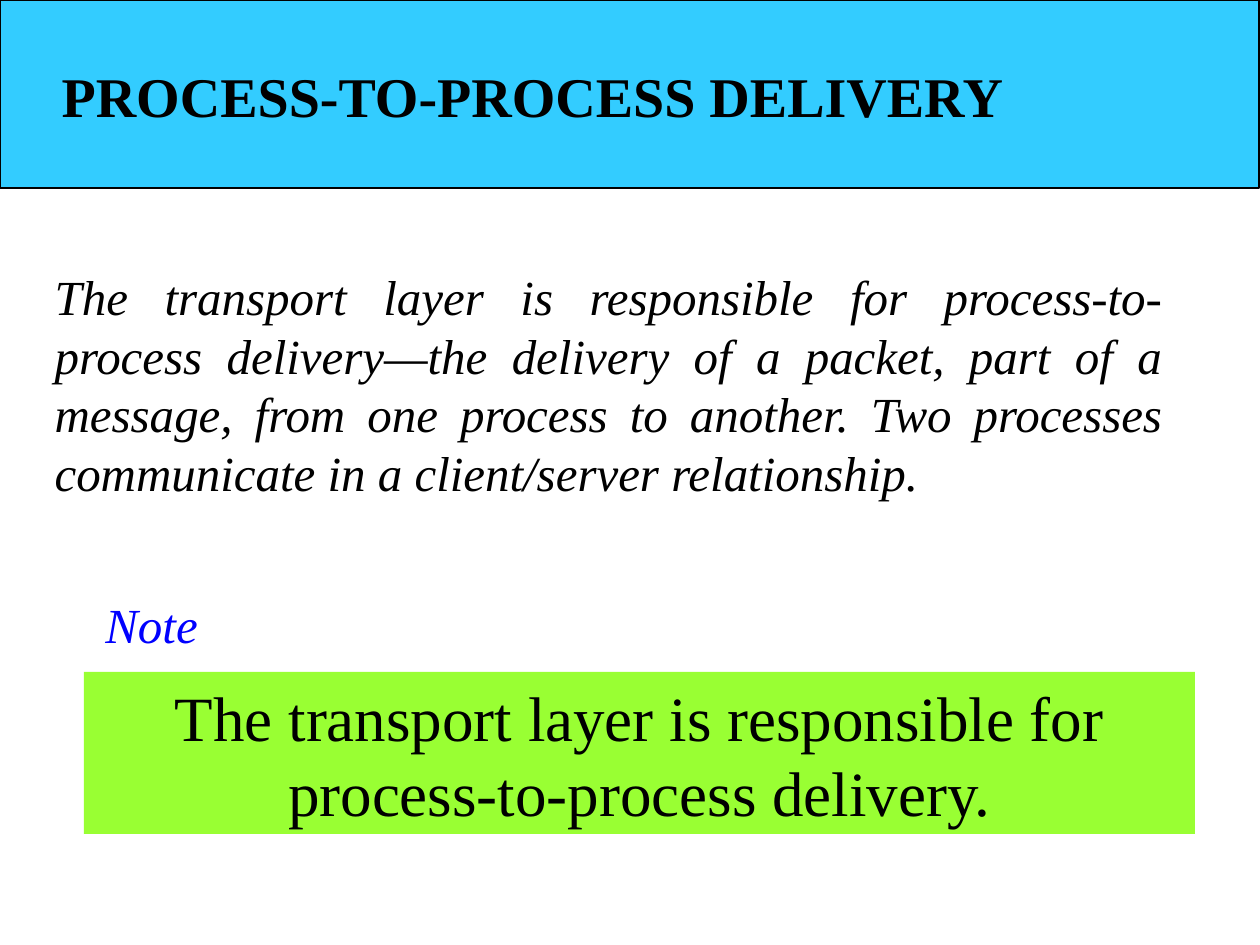
from dataclasses import dataclass

from lxml import etree
from pptx import Presentation
from pptx.dml.color import RGBColor
from pptx.enum.shapes import MSO_SHAPE
from pptx.enum.text import MSO_ANCHOR, PP_ALIGN
from pptx.oxml.ns import qn
from pptx.util import Emu, Pt

EMU_PER_PX = 914400 // 126
BLACK = RGBColor(0x00, 0x00, 0x00)
BLUE = RGBColor(0x00, 0x00, 0xFF)
SKY = RGBColor(0x33, 0xCC, 0xFF)
LIME = RGBColor(0x99, 0xFF, 0x33)
RECTANGLE = MSO_SHAPE.RECTANGLE
TOP, MIDDLE = MSO_ANCHOR.TOP, MSO_ANCHOR.MIDDLE
LEFT, CENTER, JUSTIFY = PP_ALIGN.LEFT, PP_ALIGN.CENTER, PP_ALIGN.JUSTIFY
FONT = "Times New Roman"


@dataclass(frozen=True)
class Box:
    left: int
    top: int
    width: int
    height: int


@dataclass(frozen=True)
class TextStyle:
    size: int
    color: RGBColor = BLACK
    bold: bool = False
    italic: bool = False
    align: PP_ALIGN = LEFT
    anchor: MSO_ANCHOR = TOP


def px(length: int) -> Emu:
    """Turn whole pixels into EMU."""
    return Emu(length * EMU_PER_PX)


def place(shape, box: Box) -> None:
    """Move and size a shape."""
    shape.left, shape.top = px(box.left), px(box.top)
    shape.width, shape.height = px(box.width), px(box.height)


def write(shape, text: str, style: TextStyle) -> None:
    """Fill a shape with one unbulleted paragraph."""
    frame = shape.text_frame
    frame.text = text
    frame.word_wrap = True
    frame.vertical_anchor = style.anchor
    paragraph = frame.paragraphs[0]
    properties = paragraph._p.get_or_add_pPr()
    properties.set("marL", "0")
    properties.set("indent", "0")
    etree.SubElement(properties, qn("a:buNone"))
    paragraph.alignment = style.align
    paragraph.space_before = Pt(0)
    font = paragraph.font
    font.name, font.size = FONT, Pt(style.size)
    font.bold, font.italic = style.bold, style.italic
    font.color.rgb = style.color


def add_rectangle(slide, box: Box, fill: RGBColor):
    """Add a flat rectangle without an outline."""
    shape = slide.shapes.add_shape(RECTANGLE, 0, 0, 0, 0)
    place(shape, box)
    shape.shadow.inherit = False
    shape.fill.solid()
    shape.fill.fore_color.rgb = fill
    shape.line.fill.background()
    return shape


def main() -> None:
    """Build the process-to-process delivery slide."""
    presentation = Presentation()
    presentation.slide_width, presentation.slide_height = px(1260), px(945)
    slide = presentation.slides.add_slide(presentation.slide_layouts[1])
    title, body = slide.placeholders

    banner = add_rectangle(slide, Box(0, 0, 1259, 188), SKY)
    banner.line.color.rgb = BLACK
    banner.line.width = Pt(0.75)
    slide.shapes._spTree.insert(2, banner._element)

    place(title, Box(49, 55, 1146, 78))
    write(title, "PROCESS-TO-PROCESS DELIVERY", TextStyle(32, bold=True))

    place(body, Box(42, 261, 1133, 246))
    write(
        body,
        "The transport layer is responsible for process-to-process delivery—the "
        "delivery of a packet, part of a message, from one process to another. "
        "Two processes communicate in a client/server relationship.",
        TextStyle(28, italic=True, align=JUSTIFY, anchor=MIDDLE),
    )

    note = slide.shapes.add_textbox(0, 0, 0, 0)
    place(note, Box(93, 588, 136, 69))
    write(note, "Note", TextStyle(28, BLUE, italic=True))

    conclusion = add_rectangle(slide, Box(84, 672, 1111, 162), LIME)
    write(
        conclusion,
        "The transport layer is responsible for process-to-process delivery.",
        TextStyle(36, align=CENTER),
    )

    presentation.save("out.pptx")


if __name__ == "__main__":
    main()
